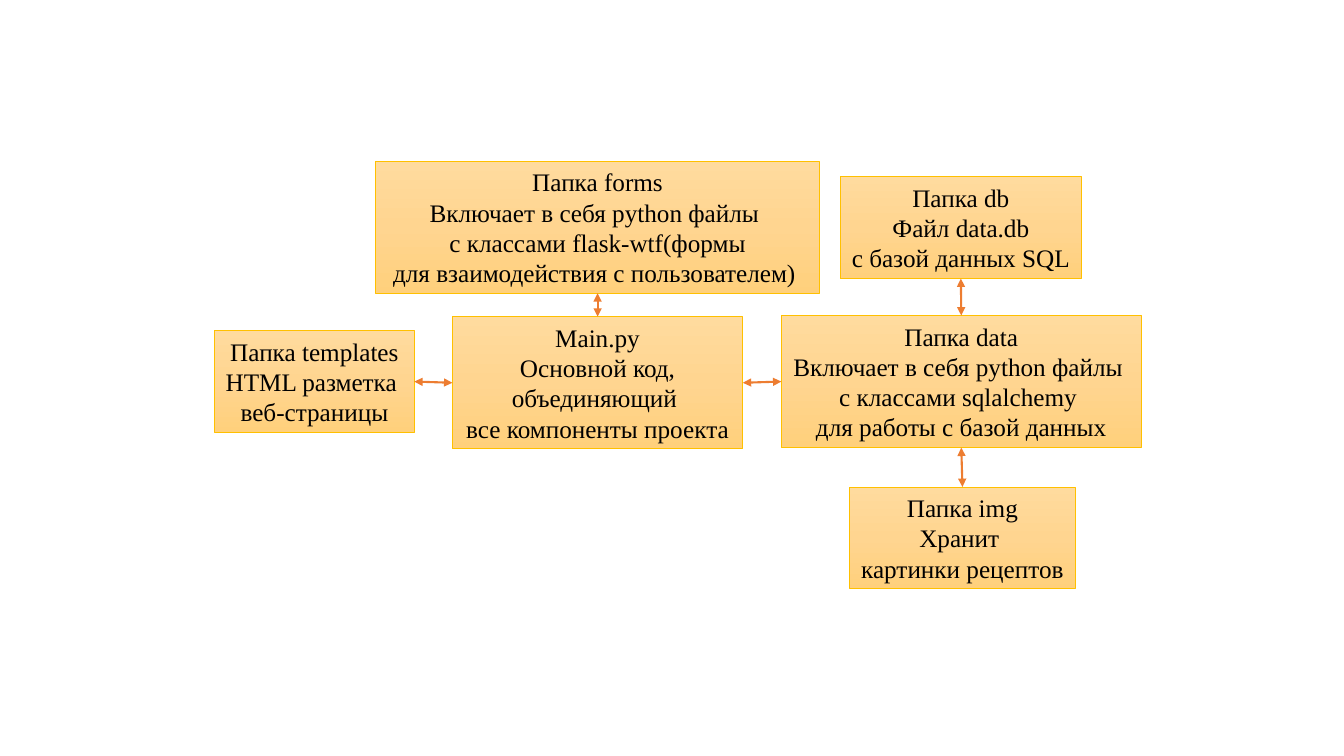
import copy

import lxml.etree
import pptx
import pptx.dml.color
import pptx.enum.shapes
import pptx.enum.text
import pptx.oxml.ns
import pptx.util

Cm = pptx.util.Cm
Pt = pptx.util.Pt
qn = pptx.oxml.ns.qn

BOX_GRADIENT = ("FFDB9E", "FFD590", "FFD07C")
BOX_BORDER = "FFC000"
ARROW_COLOR = "ED7D31"
TOP, LEFT, BOTTOM, RIGHT = range(4)  # connection sites of a rectangle

# Name: (left, top, width, height in cm), lines of text
BOXES = {
    "main": ((11.4, 7.98, 7.32, 3.33), (
        "Main.py", "Основной код,", "объединяющий ", "все компоненты проекта")),
    "data": ((19.69, 7.95, 9.07, 3.33), (
        "Папка data", "Включает в себя python файлы ",
        "с классами sqlalchemy ", "для работы с базой данных")),
    "forms": ((9.47, 4.06, 11.18, 3.33), (
        "Папка forms", "Включает в себя python файлы ",
        "с классами flask-wtf(формы",
        "для взаимодействия с\u00a0пользователем)\u00a0")),
    "img": ((21.41, 12.27, 5.69, 2.57), (
        "Папка img", "Хранит ", "картинки рецептов")),
    "db": ((21.18, 4.45, 6.07, 2.57), (
        "Папка db", "Файл data.db", "c базой данных SQL")),
    "templates": ((5.41, 8.33, 5.03, 2.57), (
        "Папка templates", "HTML разметка ", "веб-страницы")),
}

# Start box, its side, end box, its side
LINKS = (
    ("main", TOP, "forms", BOTTOM),
    ("data", LEFT, "main", RIGHT),
    ("db", BOTTOM, "data", TOP),
    ("img", TOP, "data", BOTTOM),
    ("main", LEFT, "templates", RIGHT),
)


def set_color(color_format, value):
    color_format.rgb = pptx.dml.color.RGBColor.from_string(value)


def write_text(shape, lines, font="Times New Roman", size=18, color="000000",
               align=pptx.enum.text.PP_ALIGN.CENTER):
    frame = shape.text_frame
    frame.word_wrap = False
    frame.auto_size = pptx.enum.text.MSO_AUTO_SIZE.SHAPE_TO_FIT_TEXT
    frame.vertical_anchor = pptx.enum.text.MSO_ANCHOR.MIDDLE
    frame.text = "\n".join(lines)
    for paragraph in frame.paragraphs:
        paragraph.alignment = align
        for run in paragraph.runs:
            run.font.name = font
            run.font.size = Pt(size)
            set_color(run.font.color, color)


def fill_gradient(fill, colors):
    """Fill from top to bottom with three evenly spaced colours."""
    fill.gradient()
    fill.gradient_angle = 270
    first = fill.gradient_stops[0]._gs
    first.addnext(copy.deepcopy(first))
    for index, (stop, color) in enumerate(zip(fill.gradient_stops, colors)):
        stop.position = index / (len(colors) - 1)
        set_color(stop.color, color)


def add_box(slide, box, lines):
    shape = slide.shapes.add_shape(
        pptx.enum.shapes.MSO_SHAPE.RECTANGLE, *(Cm(length) for length in box))
    shape.shadow.inherit = False
    fill_gradient(shape.fill, BOX_GRADIENT)
    set_color(shape.line.fill.fore_color if shape.line.fill.type else shape.line.color,
              BOX_BORDER)
    shape.line.width = Pt(0.5)
    write_text(shape, lines)
    return shape


def add_double_arrow(slide, start, start_side, end, end_side):
    connector = slide.shapes.add_connector(
        pptx.enum.shapes.MSO_CONNECTOR.STRAIGHT, 0, 0, 0, 0)
    connector.begin_connect(start, start_side)
    connector.end_connect(end, end_side)
    set_color(connector.line.color, ARROW_COLOR)
    connector.line.width = Pt(1.5)
    properties = connector._element.spPr
    line = properties.find(qn("a:ln"))
    for tag in ("a:headEnd", "a:tailEnd"):
        lxml.etree.SubElement(line, qn(tag), type="triangle")
    lxml.etree.SubElement(properties, qn("a:effectLst"))


def build_structure_slide(presentation):
    slide = presentation.slides.add_slide(presentation.slide_layouts[6])
    shapes = {name: add_box(slide, box, lines)
              for name, (box, lines) in BOXES.items()}
    for start, start_side, end, end_side in LINKS:
        add_double_arrow(slide, shapes[start], start_side, shapes[end], end_side)


presentation = pptx.Presentation()
presentation.slide_width = Cm(33.87)
presentation.slide_height = Cm(19.05)
build_structure_slide(presentation)
presentation.save("out.pptx")
